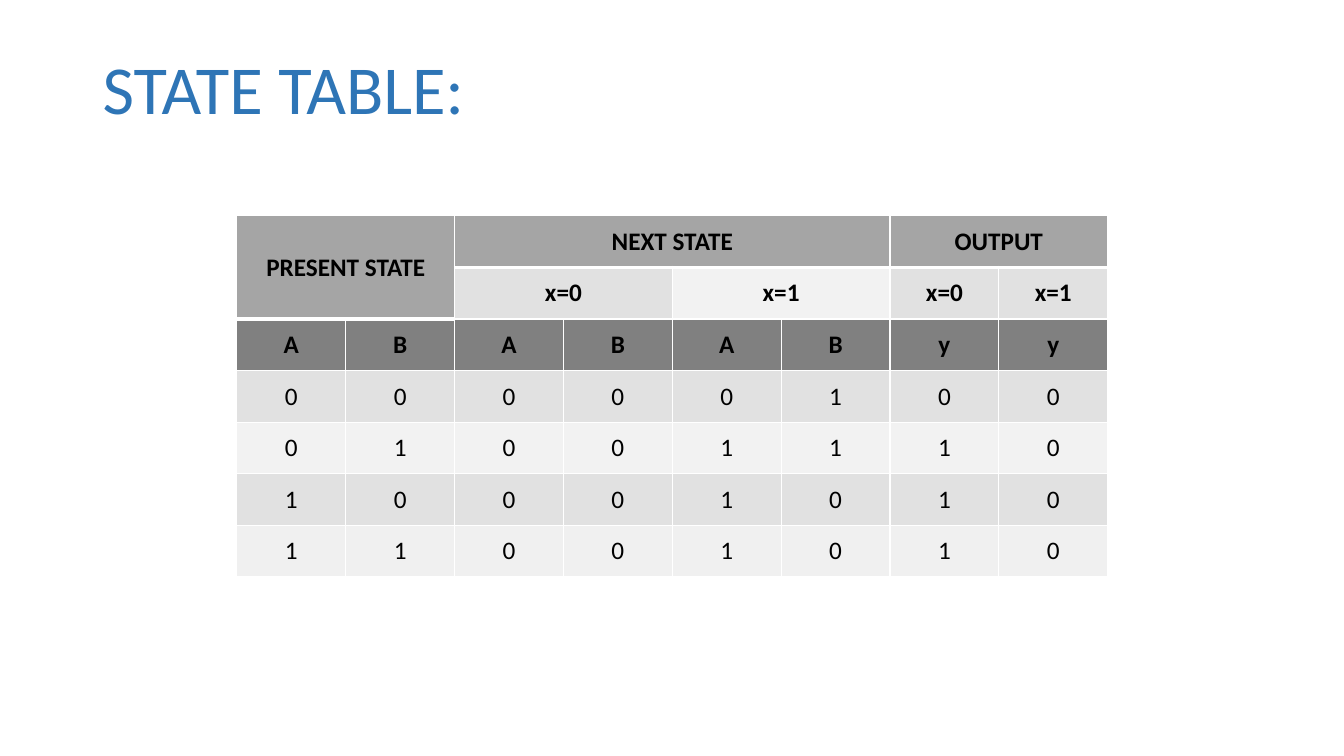
from dataclasses import dataclass

from lxml import etree
from pptx import Presentation
from pptx.dml.color import RGBColor
from pptx.enum import text
from pptx.oxml import ns
from pptx.table import Table, _Cell
from pptx.util import Cm, Pt

FONT = "Calibri"
COLS, ROWS = 8, 7
STATE_COLS = 2
GREY, DARK, MID, LIGHT, PALE = "A5A5A5", "808080", "E1E1E1", "F2F2F2", "F0F0F0"


@dataclass
class Heading:
    row: int
    col: int
    label: str
    fill: str
    rows: int = 1
    cols: int = 1


@dataclass
class Row:
    values: str
    fill: str
    bold: bool = False


HEADINGS = [
    Heading(0, 0, "PRESENT STATE", GREY, rows=2, cols=2),
    Heading(0, 2, "NEXT STATE", GREY, cols=4),
    Heading(0, 6, "OUTPUT", GREY, cols=2),
    Heading(1, 2, "x=0", MID, cols=2),
    Heading(1, 4, "x=1", LIGHT, cols=2),
    Heading(1, 6, "x=0", MID),
    Heading(1, 7, "x=1", MID),
]
BODY = [
    Row("ABABAByy", DARK, bold=True),
    Row("00000100", MID),
    Row("01001110", LIGHT),
    Row("10001010", MID),
    Row("11001010", PALE),
]


def rgb(value: str) -> RGBColor:
    return RGBColor.from_string(value)


def add_borders(cell: _Cell, row: int, col: int) -> None:
    """Draw white cell edges, thick below the top headings."""
    thick_row = 2 if col < STATE_COLS else 1
    widths = {
        "lnL": 1,
        "lnR": 1,
        "lnT": 3 if row == thick_row else 1,
        "lnB": 3 if row + 1 == thick_row else 1,
    }
    tc_pr = cell._tc.get_or_add_tcPr()
    for tag, width in widths.items():
        line = etree.SubElement(tc_pr, ns.qn(f"a:{tag}"), w=str(Pt(width)))
        fill = etree.SubElement(line, ns.qn("a:solidFill"))
        etree.SubElement(fill, ns.qn("a:srgbClr"), val="FFFFFF")


def fill_cell(cell: _Cell, label: str, fill: str, bold: bool) -> None:
    cell.fill.solid()
    cell.fill.fore_color.rgb = rgb(fill)
    cell.vertical_anchor = text.MSO_ANCHOR.MIDDLE
    p = cell.text_frame.paragraphs[0]
    p.text = label
    p.alignment = text.PP_ALIGN.CENTER
    p.font.name = FONT
    p.font.size = Pt(18)
    p.font.bold = bold
    p.font.color.rgb = rgb("000000")


def add_heading(table: Table, h: Heading) -> None:
    cell = table.cell(h.row, h.col)
    if h.rows * h.cols > 1:
        cell.merge(table.cell(h.row + h.rows - 1, h.col + h.cols - 1))
    fill_cell(cell, h.label, h.fill, True)


def add_title(s, label: str) -> None:
    sp = s.shapes.title
    sp.left, sp.top, sp.width, sp.height = Cm(2.33), Cm(1.01), Cm(29.21), Cm(2.62)
    tf = sp.text_frame
    tf.auto_size = text.MSO_AUTO_SIZE.NONE
    tf.vertical_anchor = text.MSO_ANCHOR.MIDDLE
    p = tf.paragraphs[0]
    p.text = label
    p.alignment = text.PP_ALIGN.LEFT
    p.line_spacing = 0.9
    p.font.name = FONT
    p.font.size = Pt(49)
    p.font.color.rgb = rgb("2E75B6")


def add_state_table(s) -> None:
    table = s.shapes.add_table(
        ROWS, COLS, Cm(5.97), Cm(5.44), Cm(21.95), Cm(9.1)
    ).table
    for row in range(ROWS):
        for col in range(COLS):
            add_borders(table.cell(row, col), row, col)
    for heading in HEADINGS:
        add_heading(table, heading)
    for i, row in enumerate(BODY, start=ROWS - len(BODY)):
        for col, value in enumerate(row.values):
            fill_cell(table.cell(i, col), value, row.fill, row.bold)


def main() -> None:
    prs = Presentation()
    prs.slide_width, prs.slide_height = Cm(33.87), Cm(19.05)
    s = prs.slides.add_slide(prs.slide_layouts[5])
    add_title(s, "STATE TABLE:")
    add_state_table(s)
    prs.save("out.pptx")


if __name__ == "__main__":
    main()
